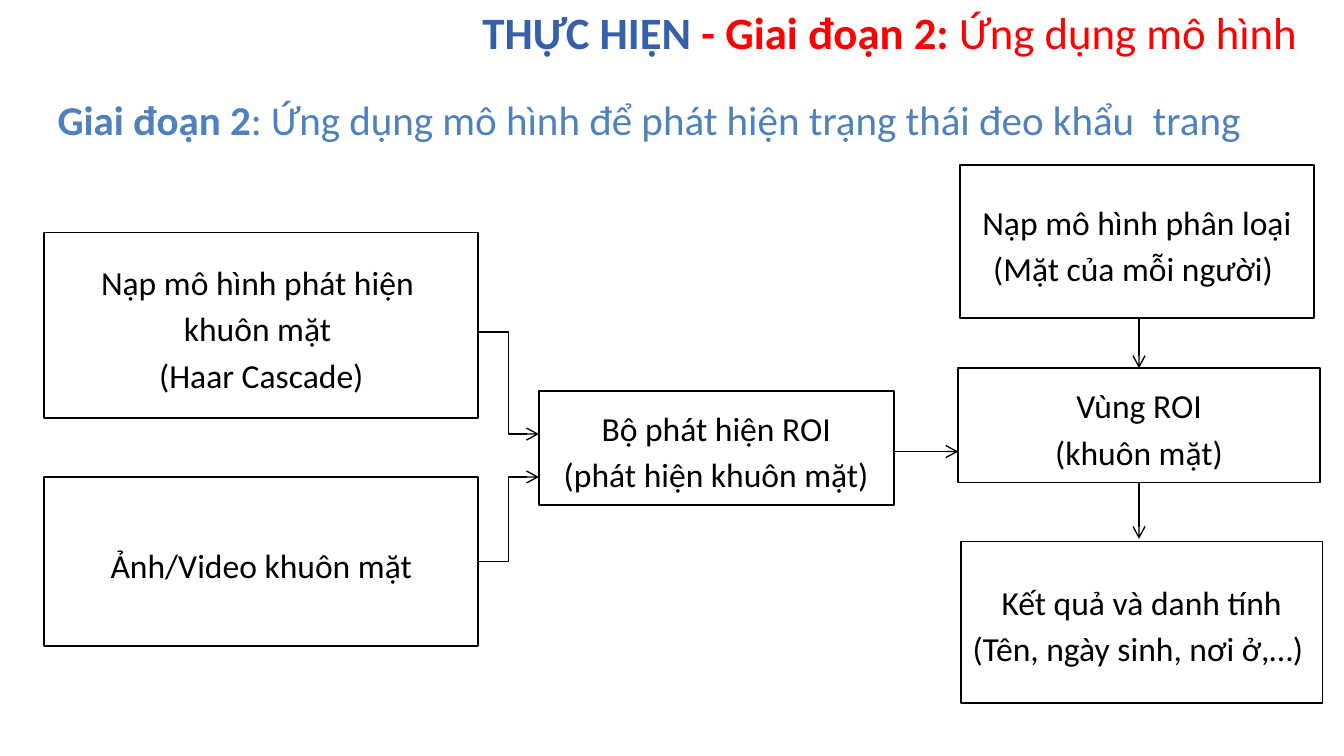
from lxml.etree import SubElement
from pptx import Presentation
from pptx.dml.color import RGBColor
from pptx.enum.shapes import MSO_CONNECTOR, MSO_SHAPE
from pptx.enum.text import MSO_ANCHOR, MSO_AUTO_SIZE, PP_ALIGN
from pptx.oxml.ns import qn
from pptx.util import Inches, Pt

COLORS = {"black": "000000", "white": "FFFFFF", "blue": "4F81BD",
          "navy": "3760AA", "red": "FF0000"}
TOP, BOTTOM = 0, 2

# Content: runs are (text, color, bold)
TITLE = [("THỰC HIỆN ", "navy", True), ("- Giai đoạn 2: ", "red", True),
         ("Ứng dụng mô hình", "red", False)]
SUBTITLE = [("Giai đoạn 2", "blue", True),
            (": Ứng dụng mô hình để phát hiện trạng thái đeo khẩu  trang", "blue", False)]

# Boxes: (left, top, width, height), lines
BOXES = {
    "face_model": ((0.33, 1.73, 3.23, 1.38),
                   ["Nạp mô hình phát hiện ", "khuôn mặt ", "(Haar Cascade)"]),
    "input": ((0.33, 3.55, 3.23, 1.26), ["Ảnh/Video khuôn mặt"]),
    "detector": ((4.01, 2.91, 2.64, 0.85), ["Bộ phát hiện ROI", "(phát hiện khuôn mặt)"]),
    "region": ((7.13, 2.74, 2.69, 0.85), ["Vùng ROI", "(khuôn mặt)"]),
    "classifier": ((7.14, 1.23, 2.64, 1.14),
                   ["Nạp mô hình phân loại", "(Mặt của mỗi người) "]),
    "result": ((7.15, 4.03, 2.69, 1.2),
               ["Kết quả và danh tính", "(Tên, ngày sinh, nơi ở,…) "]),
}

# Side-to-side arrows: source, target, start y, end y, kind
SIDE_ARROWS = [
    ("face_model", "detector", 2.47, 3.23, MSO_CONNECTOR.ELBOW),
    ("input", "detector", 4.18, 3.55, MSO_CONNECTOR.ELBOW),
    ("detector", "region", 3.36, 3.36, MSO_CONNECTOR.STRAIGHT),
]


def write_text(frame, paragraphs, size, align, spacing=None, wrap=True, inset=None):
    frame.word_wrap = wrap
    frame.vertical_anchor = MSO_ANCHOR.MIDDLE
    if inset is not None:
        frame.margin_left = frame.margin_right = Inches(inset)
        frame.margin_top = frame.margin_bottom = Inches(inset)
    for index, runs in enumerate(paragraphs):
        paragraph = frame.add_paragraph() if index else frame.paragraphs[0]
        paragraph.alignment = align
        if spacing:
            paragraph.line_spacing = spacing
        for text, color, bold in runs:
            run = paragraph.add_run()
            run.text = text
            run.font.name = "Calibri"
            run.font.size = Pt(size)
            run.font.bold = bold
            run.font.color.rgb = RGBColor.from_string(COLORS[color])


def add_box(slide, place, lines):
    shape = slide.shapes.add_shape(MSO_SHAPE.RECTANGLE, *map(Inches, place))
    shape.shadow.inherit = False
    shape.fill.solid()
    shape.fill.fore_color.rgb = RGBColor.from_string(COLORS["white"])
    shape.line.color.rgb = RGBColor.from_string(COLORS["black"])
    shape.line.width = Pt(1)
    write_text(shape.text_frame, [[(line, "black", False)] for line in lines],
               size=18, align=PP_ALIGN.CENTER, spacing=1.15, inset=0)
    return shape


def add_arrow(slide, kind, start, end):
    arrow = slide.shapes.add_connector(kind, *start, *end)
    arrow.line.color.rgb = RGBColor.from_string(COLORS["black"])
    arrow.line.width = Pt(0.75)
    properties = arrow._element.spPr
    SubElement(properties.find(qn("a:ln")), qn("a:tailEnd"), type="arrow")
    SubElement(properties, qn("a:effectLst"))
    return arrow


def main():
    presentation = Presentation()
    presentation.slide_width = Inches(10)
    presentation.slide_height = presentation.slide_width * 9 // 16
    slide = presentation.slides.add_slide(presentation.slide_layouts[5])

    # Title and subtitle
    title = slide.shapes.title
    title.left, title.top, title.width, title.height = map(Inches, (1.94, 0.1, 7.81, 0.27))
    write_text(title.text_frame, [TITLE], size=24, align=PP_ALIGN.RIGHT)
    title.text_frame.auto_size = MSO_AUTO_SIZE.NONE
    subtitle = slide.shapes.add_textbox(*map(Inches, (0.33, 0.65, 9.1, 0.47)))
    write_text(subtitle.text_frame, [SUBTITLE], size=22, align=PP_ALIGN.JUSTIFY, wrap=False)
    subtitle.text_frame.auto_size = MSO_AUTO_SIZE.SHAPE_TO_FIT_TEXT

    # Flowchart boxes
    boxes = {name: add_box(slide, place, lines) for name, (place, lines) in BOXES.items()}

    # Arrows between columns
    for source, target, start_y, end_y, kind in SIDE_ARROWS:
        box = boxes[source]
        add_arrow(slide, kind, (box.left + box.width, Inches(start_y)),
                  (boxes[target].left, Inches(end_y)))

    # Vertical arrows on the center line of the region box
    region, classifier = boxes["region"], boxes["classifier"]
    center = region.left + region.width // 2
    region_bottom = region.top + region.height
    arrow_in = add_arrow(slide, MSO_CONNECTOR.STRAIGHT,
                         (center, classifier.top + classifier.height), (center, region.top))
    arrow_in.end_connect(region, TOP)
    arrow_out = add_arrow(slide, MSO_CONNECTOR.STRAIGHT,
                          (center, region_bottom), (center, boxes["result"].top - Inches(0.02)))
    arrow_out.begin_connect(region, BOTTOM)

    presentation.save("out.pptx")


if __name__ == "__main__":
    main()
